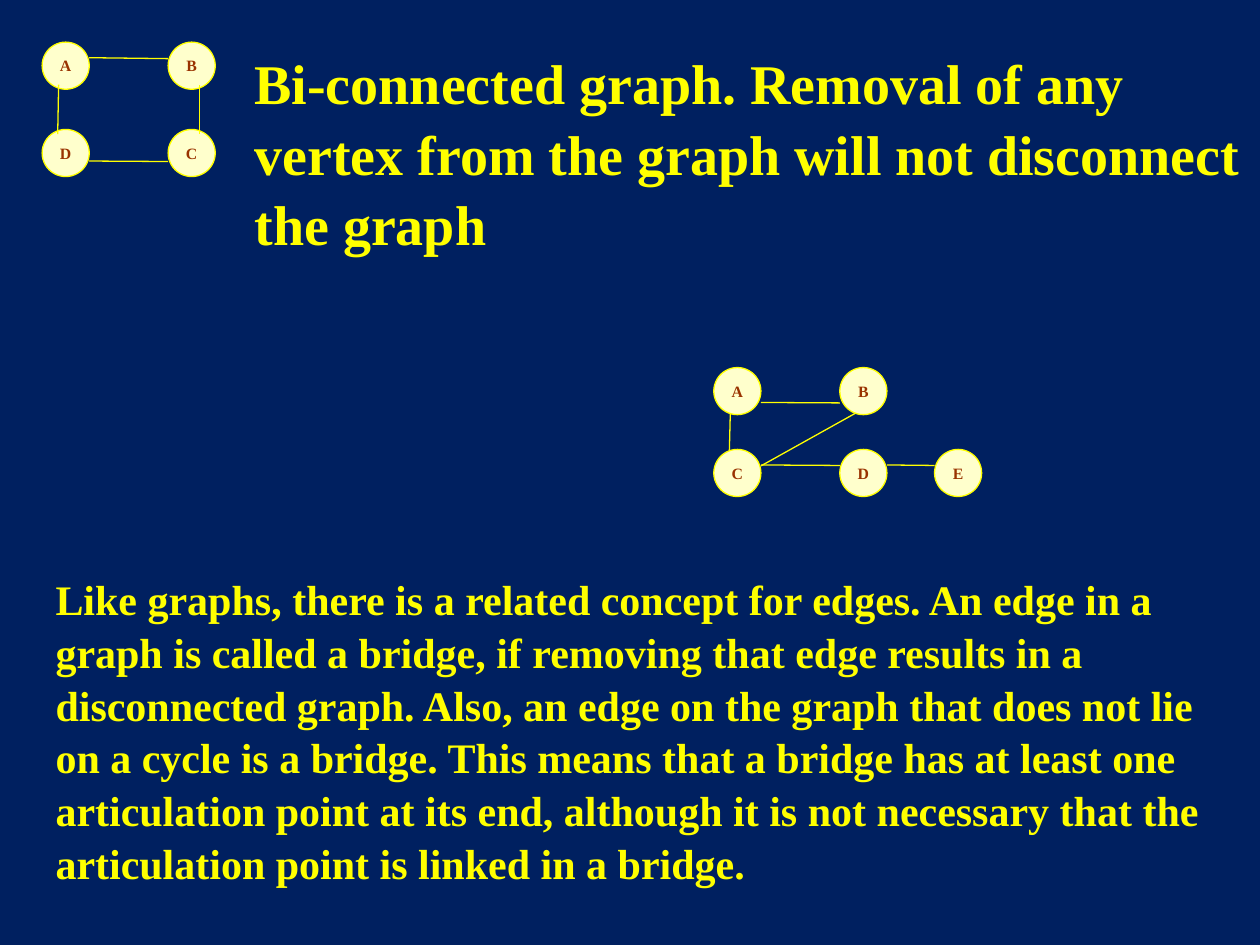
"""Builds a slide on bi-connected graphs and bridges."""
from lxml import etree
from pptx import Presentation
from pptx.dml.color import RGBColor
from pptx.enum.shapes import MSO_CONNECTOR, MSO_SHAPE
from pptx.enum.text import MSO_ANCHOR, PP_ALIGN
from pptx.oxml.ns import qn
from pptx.util import Cm, Pt

OVAL = MSO_SHAPE.OVAL
STRAIGHT = MSO_CONNECTOR.STRAIGHT
TOP, MIDDLE = MSO_ANCHOR.TOP, MSO_ANCHOR.MIDDLE
CENTER, LEFT = PP_ALIGN.CENTER, PP_ALIGN.LEFT

NAVY = RGBColor(0x00, 0x20, 0x60)
YELLOW = RGBColor(0xFF, 0xFF, 0x00)
CREAM = RGBColor(0xFF, 0xFF, 0xCC)
BROWN = RGBColor(0x99, 0x33, 0x00)
FONT = "Times New Roman"
NODE_SIZE = 0.95
LINE_WIDTH = Pt(0.75)

TEXTS = [
    ("Bi-connected graph. Removal of any vertex from the graph will not "
     "disconnect the graph", (4.88, 0.79, 20.52, 4.3), 32, TOP),
    ("Like graphs, there is a related concept for edges. An edge in a graph "
     "is called a bridge, if removing that edge results in a disconnected "
     "graph. Also, an edge on the graph that does not lie on a cycle is a "
     "bridge. This means that a bridge has at least one articulation point "
     "at its end, although it is not necessary that the articulation point "
     "is linked in a bridge.", (0.87, 11.63, 24.53, 6.15), 24, MIDDLE),
]

# Each edge end is a node with the across and down fractions of its box.
GRAPHS = [
    {
        "nodes": {"A": (0.85, 0.85), "B": (3.39, 0.85),
                  "D": (0.85, 2.61), "C": (3.39, 2.61)},
        "edges": [(("A", 1, 0.33), ("B", 0, 0.35)),
                  (("D", 1, 0.67), ("C", 0, 0.68)),
                  (("C", 0.67, 0.1), ("B", 0.67, 0.9)),
                  (("D", 0.33, 0.1), ("A", 0.35, 0.9))],
    },
    {
        "nodes": {"A": (14.39, 7.41), "B": (16.93, 7.41), "C": (14.39, 9.06),
                  "D": (16.93, 9.06), "E": (18.84, 9.06)},
        "edges": [(("A", 1, 0.74), ("B", 0, 0.75)),
                  (("C", 0.33, 0.03), ("A", 0.35, 0.97)),
                  (("C", 1, 0.33), ("D", 0, 0.34)),
                  (("C", 1, 0.35), ("B", 0.33, 0.97)),
                  (("D", 1, 0.33), ("E", 0, 0.34))],
    },
]


def write(frame, text, size, color, align, anchor):
    frame.vertical_anchor = anchor
    para = frame.paragraphs[0]
    para.text = text
    para.alignment = align
    para.font.name = FONT
    para.font.size = Pt(size)
    para.font.bold = True
    para.font.color.rgb = color
    return para


def add_node(page, label, left, top):
    node = page.shapes.add_shape(
        OVAL, Cm(left), Cm(top), Cm(NODE_SIZE), Cm(NODE_SIZE))
    node.shadow.inherit = False
    node.fill.solid()
    node.fill.fore_color.rgb = CREAM
    node.line.color.rgb = YELLOW
    node.line.width = LINE_WIDTH
    frame = node.text_frame
    frame.margin_left = frame.margin_right = 0
    frame.margin_top = frame.margin_bottom = 0
    write(frame, label, 9, BROWN, CENTER, MIDDLE)


def add_edge(page, nodes, ends):
    points = [Cm(nodes[name][axis] + NODE_SIZE * share[axis])
              for name, *share in ends for axis in (0, 1)]
    edge = page.shapes.add_connector(STRAIGHT, *points)
    edge.line.color.rgb = YELLOW
    edge.line.width = LINE_WIDTH
    etree.SubElement(edge._element.spPr, qn("a:effectLst"))


def main():
    deck = Presentation()
    deck.slide_width, deck.slide_height = Cm(25.4), Cm(19.05)
    page = deck.slides.add_slide(deck.slide_layouts[6])
    page.background.fill.solid()
    page.background.fill.fore_color.rgb = NAVY

    for graph in GRAPHS:
        for label, place in graph["nodes"].items():
            add_node(page, label, *place)
        for ends in graph["edges"]:
            add_edge(page, graph["nodes"], ends)

    for text, place, size, anchor in TEXTS:
        box = page.shapes.add_textbox(*map(Cm, place))
        box.text_frame.word_wrap = True
        para = write(box.text_frame, text, size, YELLOW, LEFT, anchor)
        para.line_spacing = 1.05

    deck.save("out.pptx")


if __name__ == "__main__":
    main()
